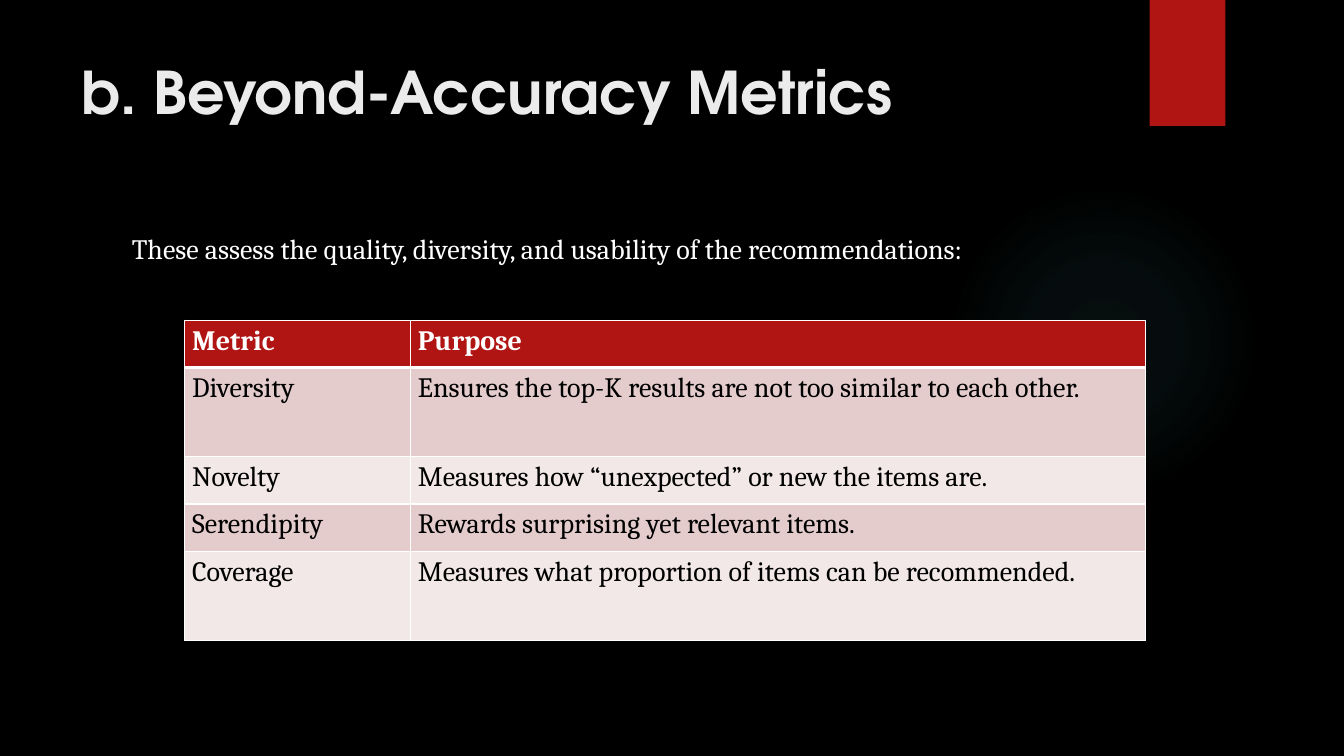
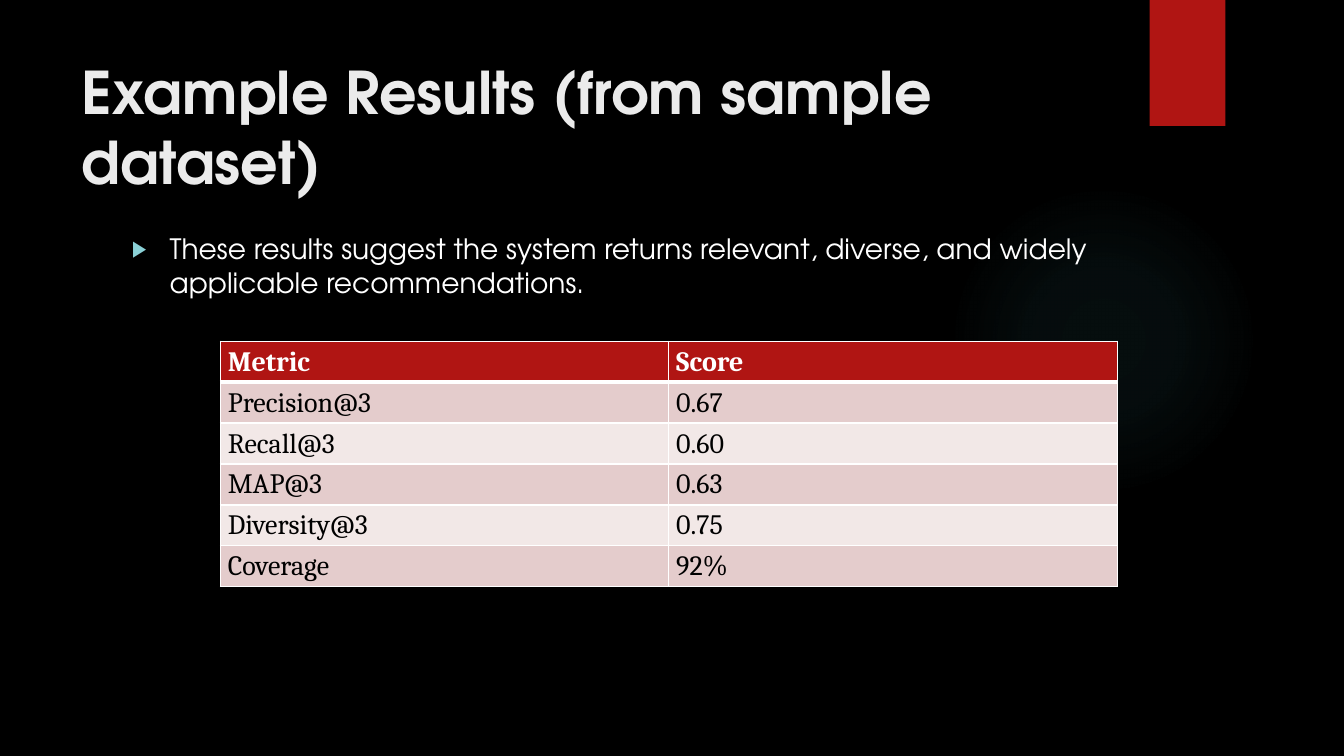
from lxml import etree
from pptx import Presentation
from pptx.dml.color import RGBColor as RGB
from pptx.enum.shapes import MSO_SHAPE as Shape
from pptx.enum.text import MSO_ANCHOR as Anchor, MSO_AUTO_SIZE as Auto, PP_ALIGN as Align
from pptx.oxml import parse_xml
from pptx.oxml.ns import nsdecls, qn
from pptx.util import Pt

PX = 9525  # 96 px to the inch

BLACK = RGB(0x00, 0x00, 0x00)
WHITE = RGB(0xFF, 0xFF, 0xFF)
PALE = RGB(0xEB, 0xEB, 0xEB)
RED = RGB(0xB0, 0x15, 0x13)
TEAL = RGB(0x50, 0xB9, 0xC1)
AQUA = RGB(0x8A, 0xD0, 0xD6)
ROSE = RGB(0xE4, 0xCC, 0xCC)
BLUSH = RGB(0xF2, 0xE8, 0xE7)

SANS = "TeX Gyre Adventor"
SERIF = "Cambria"


def px(*lengths):
    return [n * PX for n in lengths]


def place(shape, *box):
    shape.left, shape.top, shape.width, shape.height = px(*box)


def style(para, face, size, color, bold=False):
    for run in para.runs:
        font = run.font
        font.name, font.size, font.bold = face, Pt(size), bold
        font.color.rgb = color


def add_block(slide, kind, *box):
    block = slide.shapes.add_shape(kind, *px(*box))
    block.shadow.inherit = False
    block.line.fill.background()
    return block


def add_glow(slide, *box):
    """Add a disc of teal light that fades out towards its rim."""
    disc = add_block(slide, Shape.OVAL, *box)
    stops = "".join(
        f'<a:gs pos="{pos}000"><a:srgbClr val="{TEAL}"><a:alpha val="{alpha}000"/></a:srgbClr></a:gs>'
        for pos, alpha in ((0, 7), (36, 6), (69, 0)))
    fade = parse_xml(
        f'<a:gradFill {nsdecls("a")}><a:gsLst>{stops}</a:gsLst><a:path path="circle">'
        '<a:fillToRect l="50000" t="50000" r="50000" b="50000"/></a:path></a:gradFill>')
    disc.element.spPr.find(qn("a:prstGeom")).addnext(fade)
    return disc


def set_layout(layout, slide):
    """Give the layout its ground, text areas and decor, drawn by way of the slide."""
    layout.background.fill.solid()
    layout.background.fill.fore_color.rgb = BLACK
    title, body = list(layout.placeholders)[:2]
    place(title, 68, 48, 988, 147)
    place(body, 116, 216, 939, 441)
    tab = add_block(slide, Shape.RECTANGLE, 1095, 0, 72, 120)
    tab.fill.solid()
    tab.fill.fore_color.rgb = RED
    glow = add_glow(slide, 903, 176, 296, 296)
    for decor in (tab, glow):
        layout.shapes.element.insert(2, decor.element)


def fill_frame(frame, text):
    frame.text = text
    frame.word_wrap = True
    frame.auto_size = Auto.NONE
    frame.vertical_anchor = Anchor.TOP
    para = frame.paragraphs[0]
    para.alignment = Align.LEFT
    return para


def set_title(slide, text):
    para = fill_frame(slide.shapes.title.text_frame, text)
    style(para, SANS, 42, PALE, True)


def set_body(slide, text, face, bullet=False):
    para = fill_frame(slide.placeholders[1].text_frame, text)
    props = para._p.get_or_add_pPr()
    indent = 36 * PX if bullet else 0
    props.set("marL", str(indent))
    props.set("indent", str(-indent))
    if bullet:
        color = etree.SubElement(props, qn("a:buClr"))
        etree.SubElement(color, qn("a:srgbClr"), val=str(AQUA))
        etree.SubElement(props, qn("a:buSzPct"), val="80000")
        etree.SubElement(props, qn("a:buChar"), char="▶")
    else:
        etree.SubElement(props, qn("a:buNone"))
    para.space_before = Pt(0)
    style(para, face, 20, WHITE)


def set_edges(cell, row):
    """Rule the cell in white, with a heavy line under the header row."""
    heavy = {"T": row == 1, "B": row == 0}
    props = cell._tc.get_or_add_tcPr()
    for side in "LRTB":
        width = Pt(3 if heavy.get(side) else 1)
        props.append(parse_xml(
            f'<a:ln{side} {nsdecls("a")} w="{width}"><a:solidFill>'
            f'<a:srgbClr val="{WHITE}"/></a:solidFill></a:ln{side}>'))


def set_cell(cell, text, row):
    head = row == 0
    set_edges(cell, row)
    cell.fill.solid()
    cell.fill.fore_color.rgb = RED if head else ROSE if row % 2 else BLUSH
    cell.margin_left = cell.margin_right = 7 * PX
    cell.margin_top = cell.margin_bottom = 0
    cell.text = text
    para = cell.text_frame.paragraphs[0]
    para.line_spacing = 1.15
    para.space_after = Pt(10)
    style(para, SERIF, 20, WHITE if head else BLACK, head)


def add_grid(slide, left, top, cols, rows, data):
    box = px(left, top, sum(cols), sum(rows))
    table = slide.shapes.add_table(len(rows), len(cols), *box).table
    for col, width in zip(table.columns, px(*cols)):
        col.width = width
    for row, height in zip(table.rows, px(*rows)):
        row.height = height
    for r, line in enumerate(data):
        for c, text in enumerate(line):
            set_cell(table.cell(r, c), text, r)


def main():
    deck = Presentation()
    deck.slide_width, deck.slide_height = px(1280, 720)
    layout = deck.slide_layouts[1]

    beyond = deck.slides.add_slide(layout)
    set_layout(layout, beyond)
    set_title(beyond, "b. Beyond-Accuracy Metrics")
    set_body(beyond, "These assess the quality, diversity, and usability of the recommendations:", SERIF)
    add_grid(beyond, 176, 305, (215, 700), (45, 85, 45, 45, 85), (
        ("Metric", "Purpose"),
        ("Diversity", "Ensures the top-K results are not too similar to each other."),
        ("Novelty", "Measures how “unexpected” or new the items are."),
        ("Serendipity", "Rewards surprising yet relevant items."),
        ("Coverage", "Measures what proportion of items can be recommended."),
    ))

    results = deck.slides.add_slide(layout)
    set_title(results, "Example Results (from sample dataset)")
    set_body(results, "These results suggest the system returns relevant, diverse, "
             "and widely applicable recommendations.", SANS, bullet=True)
    add_grid(results, 210, 325, (427, 427), (39,) * 6, (
        ("Metric", "Score"),
        ("Precision@3", "0.67"),
        ("Recall@3", "0.60"),
        ("MAP@3", "0.63"),
        ("Diversity@3", "0.75"),
        ("Coverage", "92%"),
    ))

    deck.save("out.pptx")


if __name__ == "__main__":
    main()
